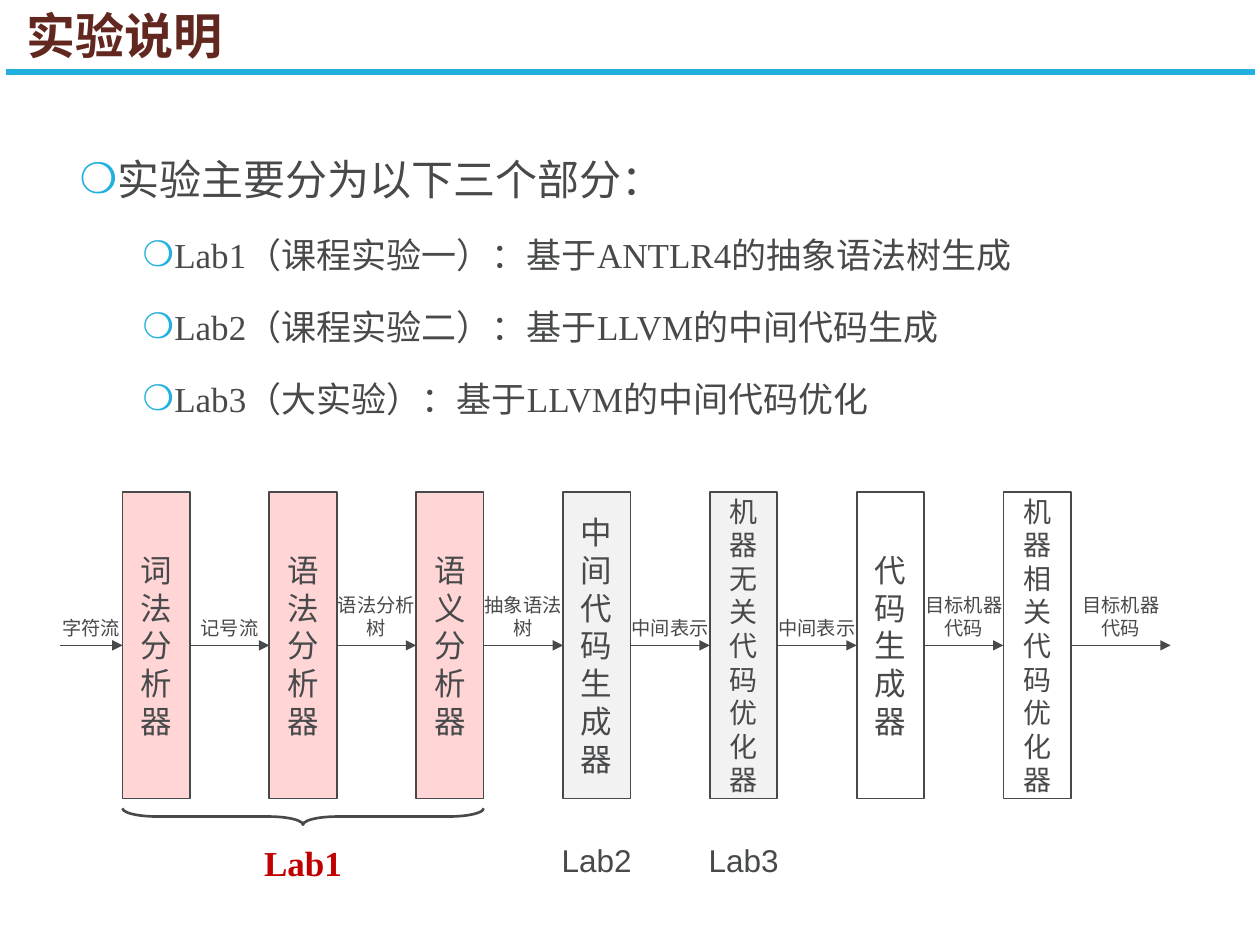
from dataclasses import dataclass

from lxml import etree
from pptx import Presentation
from pptx import util as u
from pptx.dml.color import RGBColor
from pptx.enum import shapes, text
from pptx.oxml.ns import qn


@dataclass(frozen=True)
class Theme:
    ink: str = "47494B"
    title: str = "622820"
    accent: str = "22B1DE"
    mark: str = "C00000"
    pink: str = "FFD5D5"
    grey: str = "F2F2F2"
    white: str = "FFFFFF"
    sans: str = "Arial"
    serif: str = "Times New Roman"
    chinese: str = "Noto Sans CJK SC"
    title_size: int = 28
    lead_size: int = 24
    item_size: int = 20
    stage_size: int = 18
    long_stage_size: int = 16
    flow_size: int = 11


theme = Theme()
Align = text.PP_ALIGN
Anchor = text.MSO_ANCHOR


def write(frame, content, size, font=theme.sans, color=theme.ink, bold=False,
          align=Align.CENTER, anchor=Anchor.MIDDLE, wrap=True, fit=False):
    """Fill a text frame, one paragraph per line of content."""
    frame.word_wrap = wrap
    frame.auto_size = (text.MSO_AUTO_SIZE.SHAPE_TO_FIT_TEXT if fit
                       else text.MSO_AUTO_SIZE.NONE)
    frame.vertical_anchor = anchor
    for number, line in enumerate(content.split("\n")):
        para = frame.add_paragraph() if number else frame.paragraphs[0]
        para.alignment = align
        span = para.add_run()
        span.text = line
        span.font.name = font
        span.font.size = u.Pt(size)
        span.font.bold = bold
        span.font.color.rgb = RGBColor.from_string(color)
        etree.SubElement(span.font._element, qn("a:ea"), typeface=theme.chinese)


def add_line(page, start, end, color, width, arrow=False):
    """Draw a straight line without shadow between two points in cm."""
    line = page.shapes.add_connector(
        shapes.MSO_CONNECTOR.STRAIGHT, *(u.Cm(value) for value in start + end))
    line.line.color.rgb = RGBColor.from_string(color)
    line.line.width = u.Pt(width)
    properties = line._element.spPr
    if arrow:
        etree.SubElement(properties.find(qn("a:ln")), qn("a:tailEnd"), type="triangle")
    etree.SubElement(properties, qn("a:effectLst"))
    return line


deck = Presentation()
deck.slide_width, deck.slide_height = u.Cm(25.4), u.Cm(19.05)
page = deck.slides.add_slide(deck.slide_layouts[1])

# Title and rule
title = page.shapes.title
title.left, title.top, title.width, title.height = u.Cm(0.28), u.Cm(0), u.Cm(22.43), u.Cm(1.55)
write(title.text_frame, "实验说明", theme.title_size, font=theme.chinese,
      color=theme.title, bold=True, align=Align.LEFT)
title.text_frame.paragraphs[0].line_spacing = 0.9
add_line(page, (0.13, 1.45), (25.3, 1.45), theme.accent, 3)

# List of labs
body = page.placeholders[1]
body.left, body.top, body.width, body.height = u.Cm(1.35), u.Cm(2.46), u.Cm(21.89), u.Cm(15.39)
write(body.text_frame,
      "实验主要分为以下三个部分：\n"
      "Lab1（课程实验一）：基于ANTLR4的抽象语法树生成\n"
      "Lab2（课程实验二）：基于LLVM的中间代码生成\n"
      "Lab3（大实验）：基于LLVM的中间代码优化",
      theme.item_size, font=theme.serif, align=Align.LEFT, anchor=Anchor.TOP)
for number, para in enumerate(body.text_frame.paragraphs):
    para.level = 1 if number else 0
    para.line_spacing = 1.5
    para.space_before = u.Pt(5 if number else 10)
    if number == 0:
        para.runs[0].font.size = u.Pt(theme.lead_size)
    properties = para._p.get_or_add_pPr()
    properties.set("marL", str(u.Cm(1.91 if number else 0.64)))
    properties.set("indent", str(u.Cm(-0.64)))
    bullet_color = etree.SubElement(properties, qn("a:buClr"))
    etree.SubElement(bullet_color, qn("a:srgbClr"), val=theme.accent)
    etree.SubElement(properties, qn("a:buChar"), char="❍")

# Compiler stages
stages = [
    ("词法分析器", theme.pink),
    ("语法分析器", theme.pink),
    ("语义分析器", theme.pink),
    ("中间代码生成器", theme.grey),
    ("机器无关代码优化器", theme.grey),
    ("代码生成器", theme.white),
    ("机器相关代码优化器", theme.white),
]
left, top, pitch, width, height = 2.47, 9.92, 2.96, 1.36, 6.18
middle = top + height / 2
boxes = []
for number, (name, fill) in enumerate(stages):
    box = page.shapes.add_shape(
        shapes.MSO_SHAPE.RECTANGLE, u.Cm(left + number * pitch), u.Cm(top),
        u.Cm(width), u.Cm(height))
    box.shadow.inherit = False
    box.fill.solid()
    box.fill.fore_color.rgb = RGBColor.from_string(fill)
    box.line.color.rgb = RGBColor.from_string(theme.ink)
    box.line.width = u.Pt(1)
    size = theme.long_stage_size if len(name) > 7 else theme.stage_size
    write(box.text_frame, name, size, font=theme.chinese)
    boxes.append(box)

# Arrows between the stages, each with its label centred above
flows = ["字符流", "记号流", "语法分析\n树", "抽象语法\n树", "中间表示", "中间表示",
         "目标机器\n代码", "目标机器\n代码"]
for number, flow in enumerate(flows):
    start = left + (number - 1) * pitch + width if number else 1.2
    end = left + number * pitch if number < len(boxes) else 23.6
    arrow = add_line(page, (start, middle), (end, middle), theme.ink, 0.5, arrow=True)
    if number:
        arrow.begin_connect(boxes[number - 1], 3)
    if number < len(boxes):
        arrow.end_connect(boxes[number], 1)
    lines = flow.split("\n")
    label_width = 0.51 + 0.39 * len(lines[0])
    label_height = 0.28 + 0.46 * len(lines)
    label = page.shapes.add_textbox(
        u.Cm((start + end - label_width) / 2), u.Cm(13.03 - label_height),
        u.Cm(label_width), u.Cm(label_height))
    write(label.text_frame, flow, theme.flow_size, anchor=Anchor.TOP, wrap=False, fit=True)

# Brace under the first three stages, turned to point down
reach = 2 * pitch + width
brace_centre, brace_middle, brace_depth = left + reach / 2, 16.46, 0.33
brace = page.shapes.add_shape(
    shapes.MSO_SHAPE.LEFT_BRACE, u.Cm(brace_centre - brace_depth / 2),
    u.Cm(brace_middle - reach / 2), u.Cm(brace_depth), u.Cm(reach))
brace.rotation = 270
brace.adjustments[0] = 2.12
brace.shadow.inherit = False
brace.fill.background()
brace.line.color.rgb = RGBColor.from_string(theme.ink)
brace.line.width = u.Pt(1.5)

# Lab names below their stages
labs = [
    ("Lab1", 1, 2.11, 1.12, dict(size=theme.item_size, font=theme.serif,
                                 color=theme.mark, bold=True)),
    ("Lab2", 3, 1.93, 1.02, dict(size=theme.stage_size)),
    ("Lab3", 4, 1.93, 1.02, dict(size=theme.stage_size)),
]
for name, stage, label_width, label_height, style in labs:
    centre = left + stage * pitch + width / 2
    label = page.shapes.add_textbox(
        u.Cm(centre - label_width / 2), u.Cm(16.83), u.Cm(label_width), u.Cm(label_height))
    write(label.text_frame, name, anchor=Anchor.TOP, wrap=False, fit=True, **style)

deck.save("out.pptx")
